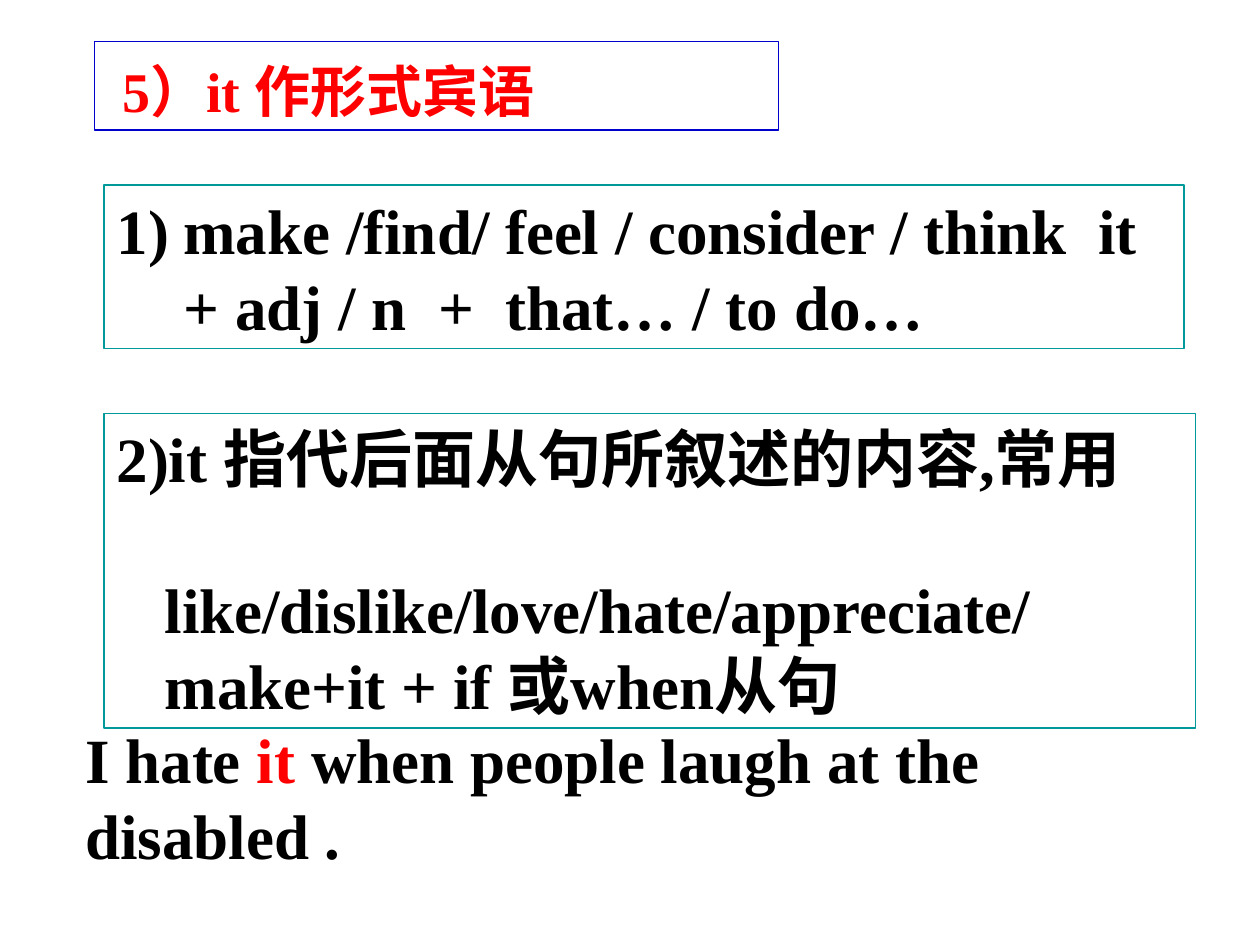
from dataclasses import dataclass

from lxml import etree
from pptx import Presentation
from pptx.dml.color import RGBColor
from pptx.enum.shapes import MSO_SHAPE as Shape
from pptx.enum.text import MSO_ANCHOR as Anchor, MSO_AUTO_SIZE as AutoSize, PP_ALIGN as Align
from pptx.oxml.ns import qn
from pptx.slide import Slide
from pptx.util import Cm, Pt

BLACK = RGBColor(0x00, 0x00, 0x00)
RED = RGBColor(0xFF, 0x00, 0x00)
BLUE = RGBColor(0x00, 0x00, 0xCC)
TEAL = RGBColor(0x00, 0x99, 0x99)


@dataclass
class GrammarSlide:
    slide: Slide
    font: str = "Times New Roman"
    title_size: int = 32
    body_size: int = 36

    def place(self, shape, left, top, width, height):
        box = {"left": left, "top": top, "width": width, "height": height}
        for name, value in box.items():
            setattr(shape, name, Cm(value))

    def frame(self, shape, anchor=Anchor.TOP, inset=0.25):
        """Set the text frame's wrapping, anchor and left inset."""
        frame = shape.text_frame
        settings = {
            "word_wrap": True, "auto_size": AutoSize.NONE, "vertical_anchor": anchor,
            "margin_left": Cm(inset), "margin_right": Cm(0.25),
            "margin_top": Cm(0.13), "margin_bottom": Cm(0.13),
        }
        for name, value in settings.items():
            setattr(frame, name, value)
        return frame

    def outline(self, shape, color):
        shape.line.color.rgb = color
        shape.line.width = Pt(0.75)

    def add_text(self, paragraph, text, color=BLACK, size=None):
        paragraph.alignment = Align.LEFT
        run = paragraph.add_run()
        run.text = text
        style = {"name": self.font, "size": Pt(size or self.body_size), "bold": True}
        for name, value in style.items():
            setattr(run.font, name, value)
        run.font.color.rgb = color

    def indent(self, paragraph, margin, number=None):
        """Indent the paragraph; with a number, hang that number in the margin."""
        properties = paragraph._p.get_or_add_pPr()
        properties.set("marL", str(int(Cm(margin))))
        properties.set("indent", str(-int(Cm(margin)) if number else 0))
        if number:
            etree.SubElement(properties, qn("a:buFont"), typeface=self.font)
            etree.SubElement(properties, qn("a:buAutoNum"),
                             type="arabicParenR", startAt=str(number))

    def title(self, text, place):
        shape = self.slide.shapes.title
        self.place(shape, *place)
        self.outline(shape, BLUE)
        frame = self.frame(shape, Anchor.BOTTOM, inset=0.56)
        self.add_text(frame.paragraphs[0], text, RED, self.title_size)

    def rule_box(self, number, rule, continuation, place, margin, gap=0):
        """Draw a framed rule: a numbered line and its indented continuation."""
        shape = self.slide.shapes.add_shape(Shape.RECTANGLE, *map(Cm, place))
        shape.shadow.inherit = False
        shape.fill.background()
        self.outline(shape, TEAL)
        frame = self.frame(shape)
        first, second = frame.paragraphs[0], frame.add_paragraph()
        self.indent(first, margin, number)
        self.indent(second, margin)
        second.space_before = Pt(gap)
        self.add_text(first, rule)
        self.add_text(second, continuation)

    def example(self, pieces, place):
        shape = self.slide.shapes.add_textbox(*map(Cm, place))
        paragraph = self.frame(shape).paragraphs[0]
        for text, color in pieces:
            self.add_text(paragraph, text, color)


def main():
    presentation = Presentation()
    presentation.slide_width, presentation.slide_height = Cm(25.4), Cm(19.05)
    page = GrammarSlide(presentation.slides.add_slide(presentation.slide_layouts[5]))

    page.title("5）it 作形式宾语", (1.9, 0.84, 13.8, 1.78))
    page.rule_box(1, "make /find/ feel / consider / think  it",
                  "+ adj / n  +  that… / to do…",
                  (2.1, 3.73, 21.77, 3.3), margin=1.35)
    page.rule_box(2, "it 指代后面从句所叙述的内容,常用",
                  "like/dislike/love/hate/appreciate/make+it + if 或when从句",
                  (2.1, 8.33, 22, 6.35), margin=0.97, gap=43)
    page.example([("I hate ", BLACK), ("it", RED),
                  (" when people laugh at the disabled .", BLACK)],
                 (1.47, 14.4, 23.93, 3.3))

    presentation.save("out.pptx")


if __name__ == "__main__":
    main()
